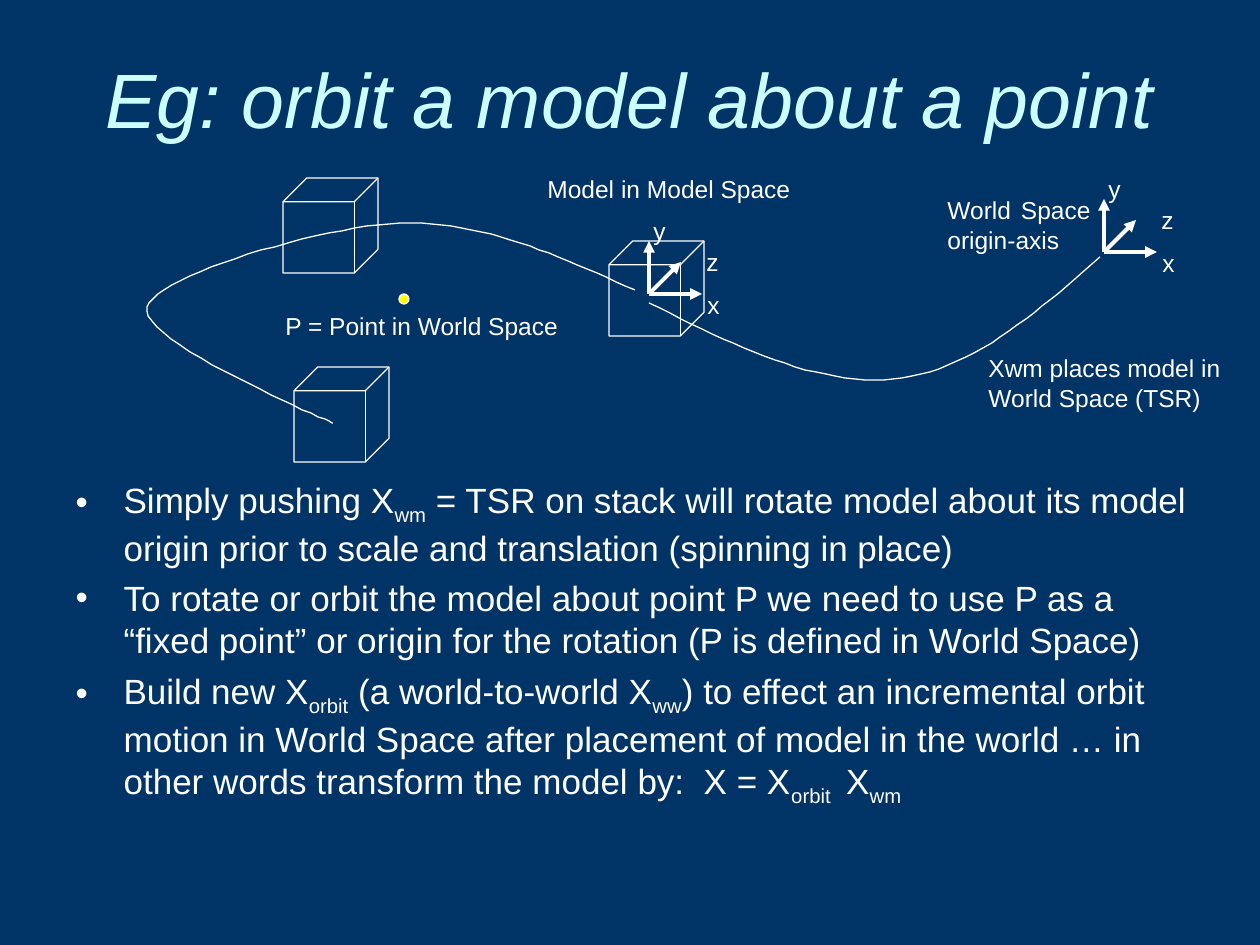
from lxml.etree import SubElement
from pptx import Presentation
from pptx.dml.color import RGBColor
from pptx.enum.shapes import MSO_CONNECTOR, MSO_SHAPE
from pptx.enum.text import MSO_ANCHOR, MSO_AUTO_SIZE, PP_ALIGN
from pptx.oxml.ns import qn
from pptx.util import Pt

EMU_PER_PX = 914400 / 126
NAVY = RGBColor(0x00, 0x33, 0x66)
PALE_CYAN = RGBColor(0xCC, 0xFF, 0xFF)
WHITE = RGBColor(0xFF, 0xFF, 0xFF)
YELLOW = RGBColor(0xFF, 0xFF, 0x00)

CUBE_SIZE = 95
CURVE_STEPS = 24

# Each bullet alternates normal text and subscripts.
BULLETS = [
    ["Simply pushing X", "wm",
     " = TSR on stack will rotate model about its model origin prior to "
     "scale and translation (spinning in place)"],
    ["To rotate or orbit the model about point P we need to use P as a "
     "“fixed point” or origin for the rotation (P is defined in World Space)"],
    ["Build new X", "orbit", " (a world-to-world X", "ww",
     ") to effect an incremental orbit motion in World Space after placement "
     "of model in the world … in other words transform the model by:  X = X",
     "orbit ", " X", "wm"],
]


def px(*lengths):
    return [round(length * EMU_PER_PX) for length in lengths]


def bezier_points(start, segments):
    """Sample a chain of cubic curves, each given as two controls and an end."""
    points = []
    for first, second, end in segments:
        for step in range(1, CURVE_STEPS + 1):
            t = step / CURVE_STEPS
            weights = ((1 - t) ** 3, 3 * t * (1 - t) ** 2, 3 * t * t * (1 - t), t ** 3)
            corners = (start, first, second, end)
            points.append(tuple(
                sum(weight * corner[axis] for weight, corner in zip(weights, corners))
                for axis in (0, 1)))
        start = end
    return points


class SlideWriter:
    """Holds the text style and the slide being drawn."""

    font_name = "Arial"
    label_size = Pt(14)
    body_size = Pt(20)
    title_size = Pt(44)
    thin = Pt(0.75)
    thick = Pt(2.25)

    def __init__(self, page):
        self.page = page
        page.background.fill.solid()
        page.background.fill.fore_color.rgb = NAVY

    def set_font(self, para, size, color=WHITE):
        para.font.name = self.font_name
        para.font.size = size
        para.font.color.rgb = color

    def place(self, shape, left, top, width, height):
        shape.left, shape.top, shape.width, shape.height = px(left, top, width, height)

    def title(self, text, *bounds):
        box = self.page.shapes.title
        self.place(box, *bounds)
        frame = box.text_frame
        frame.text = text
        frame.auto_size = MSO_AUTO_SIZE.NONE
        frame.vertical_anchor = MSO_ANCHOR.MIDDLE
        para = frame.paragraphs[0]
        para.alignment = PP_ALIGN.CENTER
        self.set_font(para, self.title_size, PALE_CYAN)
        para.font.italic = True

    def bullets(self, items, *bounds, indent=48):
        box = self.page.placeholders[1]
        self.place(box, *bounds)
        frame = box.text_frame
        frame.auto_size = MSO_AUTO_SIZE.NONE
        hang = px(indent)[0]
        for index, item in enumerate(items):
            para = frame.add_paragraph() if index else frame.paragraphs[0]
            para.space_before = Pt(5)
            self.set_font(para, self.body_size)
            properties = para._p.get_or_add_pPr()
            properties.set("marL", str(hang))
            properties.set("indent", str(-hang))
            for position, text in enumerate(item):
                span = para.add_run()
                span.text = text
                if position % 2:
                    span._r.get_or_add_rPr().set("baseline", "-25000")

    def label(self, text, *bounds, align=PP_ALIGN.LEFT, parent=None):
        box = (parent or self.page).shapes.add_textbox(*px(*bounds))
        frame = box.text_frame
        frame.word_wrap = True
        frame.text = text
        for para in frame.paragraphs:
            para.alignment = align
            self.set_font(para, self.label_size)

    def outline(self, shape):
        shape.shadow.inherit = False
        shape.fill.background()
        shape.line.color.rgb = WHITE
        shape.line.width = self.thin

    def cube(self, left, top):
        self.outline(self.page.shapes.add_shape(
            MSO_SHAPE.CUBE, *px(left, top, CUBE_SIZE, CUBE_SIZE)))

    def dot(self, left, top, size):
        dot = self.page.shapes.add_shape(MSO_SHAPE.OVAL, *px(left, top, size, size))
        self.outline(dot)
        dot.fill.solid()
        dot.fill.fore_color.rgb = YELLOW

    def curve(self, start, *segments):
        builder = self.page.shapes.build_freeform(*start, scale=EMU_PER_PX)
        builder.add_line_segments(bezier_points(start, segments), close=False)
        self.outline(builder.convert_to_shape())

    def arrow(self, parent, x1, y1, x2, y2):
        arrow = parent.shapes.add_connector(MSO_CONNECTOR.STRAIGHT, *px(x1, y1, x2, y2))
        arrow.line.color.rgb = WHITE
        arrow.line.width = self.thick
        SubElement(arrow.line._get_or_add_ln(), qn("a:tailEnd"), type="triangle")
        SubElement(arrow._element.spPr, qn("a:effectLst"))

    def axes(self, x, y):
        """Draw a grouped set of x, y and z axes from an origin."""
        group = self.page.shapes.add_group_shape()
        for dx, dy in ((0, -53), (53, 0), (32, -32)):
            self.arrow(group, x, y, x + dx, y + dy)
        for name, dx, dy in (("x", 46, -10), ("y", -8, -84), ("z", 45, -53)):
            self.label(name, x + dx, y + dy, 40, 43, parent=group)


def main():
    deck = Presentation()
    deck.slide_width, deck.slide_height = px(1260, 945)
    writer = SlideWriter(deck.slides.add_slide(deck.slide_layouts[1]))

    writer.title("Eg: orbit a model about a point", 63, 38, 1134, 120)
    writer.bullets(BULLETS, 63, 472, 1155, 441)

    writer.axes(1104, 252)
    writer.cube(609, 241)
    writer.axes(649, 294)
    writer.label("Model in Model Space", 535, 168, 273, 43)
    writer.label("World Space \norigin-axis", 935, 189, 168, 72, align=PP_ALIGN.JUSTIFY)
    writer.curve((649, 303), ((733, 345), (819, 387), (893, 379)),
                 ((969, 372), (1034, 315), (1100, 257)))
    writer.label("Xwm places model in World Space (TSR)", 976, 347, 273, 72)
    writer.dot(399, 294, 10)
    writer.label("P = Point in World Space", 273, 305, 305, 43)
    writer.curve((635, 290), ((558, 256), (483, 221), (401, 223)),
                 ((320, 227), (159, 275), (147, 307)),
                 ((136, 340), (333, 423), (333, 423)))
    writer.cube(294, 367)
    writer.cube(283, 178)

    deck.save("out.pptx")


if __name__ == "__main__":
    main()
